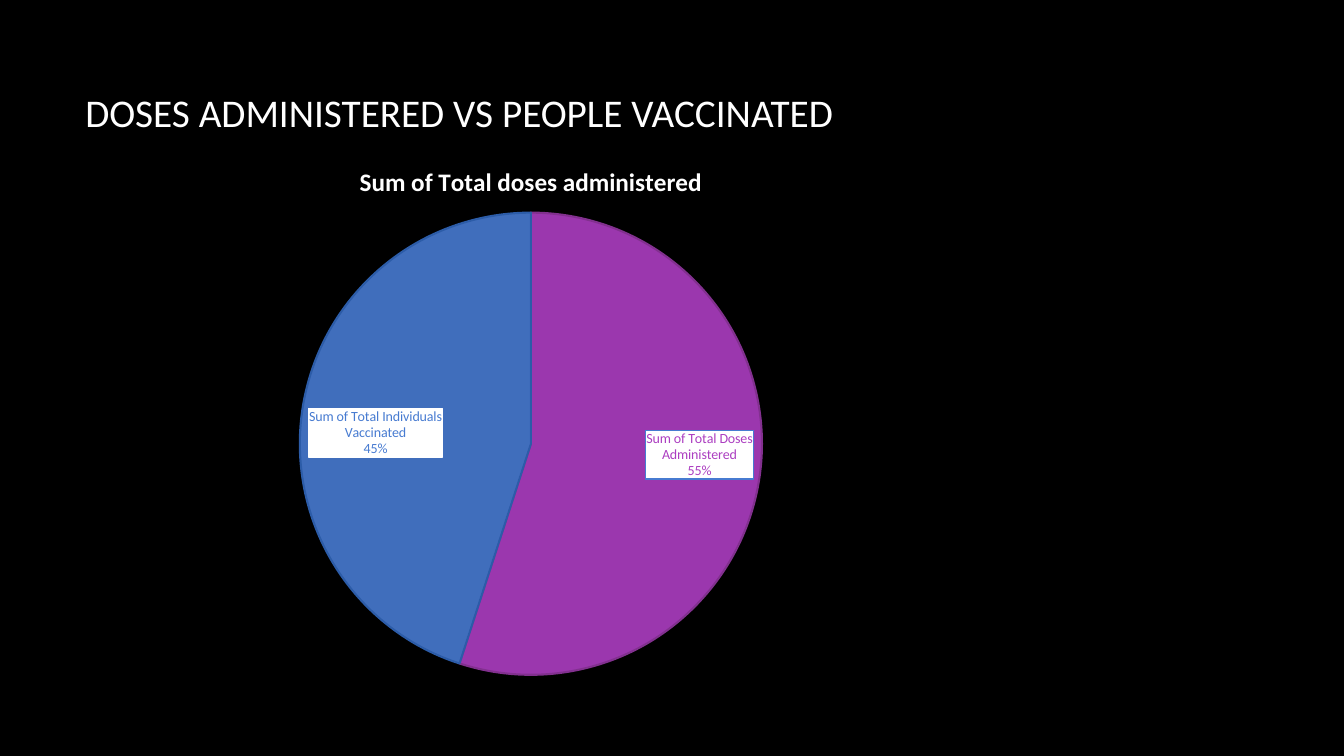
from lxml.etree import SubElement
from pptx import Presentation
from pptx.chart.data import CategoryChartData
from pptx.dml.color import RGBColor
from pptx.enum.chart import XL_CHART_TYPE as ChartType, XL_LABEL_POSITION as LabelPosition
from pptx.enum.text import MSO_ANCHOR as Anchor
from pptx.oxml import parse_xml
from pptx.oxml.ns import nsdecls, qn
from pptx.util import Cm, Pt

FONT = "Calibri"
SLICES = [
    {"name": "Sum of Total Doses Administered", "value": 55,
     "fill": "AC3EC1", "edge": "82308F", "label_edge": "477BD1"},
    {"name": "Sum of Total Individuals Vaccinated", "value": 45,
     "fill": "477BD1", "edge": "2C5CA8", "label_edge": "FFFFFF"},
]
PLOT_AREA = {"x": 0.24, "y": 0.126, "w": 0.52, "h": 0.848}


def color(value):
    """Turn a hex string into a colour."""
    return RGBColor.from_string(value)


def format_font(font, fill, **values):
    """Set the typeface, the colour and any further font values."""
    for name, value in {"name": FONT, **values}.items():
        setattr(font, name, value)
    font.color.rgb = color(fill)


def add_heading(slide, box, text):
    """Place the slide heading in its box."""
    frame = slide.shapes.add_textbox(*box).text_frame
    for name, value in {"word_wrap": True, "vertical_anchor": Anchor.MIDDLE}.items():
        setattr(frame, name, value)
    run = frame.paragraphs[0].add_run()
    run.text = text
    format_font(run.font, "FFFFFF", size=Pt(28))


def format_slice(point, values):
    """Colour one slice and give it a boxed label."""
    point.format.fill.solid()
    point.format.fill.fore_color.rgb = color(values["fill"])
    slice_color = point.format.fill._xPr.find(".//" + qn("a:srgbClr"))
    SubElement(slice_color, qn("a:alpha"), val="90000")
    point.format.line.color.rgb = color(values["edge"])
    point.format.line.width = Pt(1.5)

    label = point.data_label
    format_font(label.font, values["fill"], size=Pt(10), bold=False)
    label.position = LabelPosition.INSIDE_END
    label_box = parse_xml(
        f'<c:spPr {nsdecls("c", "a")}>'
        '<a:solidFill><a:srgbClr val="FFFFFF"/></a:solidFill>'
        f'<a:ln w="12700"><a:solidFill><a:srgbClr val="{values["label_edge"]}"/>'
        '</a:solidFill></a:ln></c:spPr>')
    label.font._element.getparent().getparent().getparent().addprevious(label_box)


def place_plot(chart):
    """Fix the inner plot area as fractions of the chart."""
    plot_area = chart._chartSpace.chart.plotArea
    for layout in plot_area.findall(qn("c:layout")):
        plot_area.remove(layout)
    sizes = "".join(f'<c:{key} val="{value}"/>' for key, value in PLOT_AREA.items())
    plot_area.insert(0, parse_xml(
        f'<c:layout {nsdecls("c")}><c:manualLayout><c:layoutTarget val="inner"/>'
        f'<c:xMode val="edge"/><c:yMode val="edge"/>{sizes}'
        '</c:manualLayout></c:layout>'))


def add_pie(slide, box, title):
    """Place the pie chart in its box."""
    data = CategoryChartData()
    data.categories = [values["name"] for values in SLICES]
    data.add_series("Series 1", [values["value"] for values in SLICES])
    chart = slide.shapes.add_chart(ChartType.PIE, *box, data).chart
    format_font(chart.font, "FFFFFF", size=Pt(10))
    chart.has_legend = False
    chart.has_title = True
    run = chart.chart_title.text_frame.paragraphs[0].add_run()
    run.text = title
    format_font(run.font, "FFFFFF", size=Pt(18), bold=True)
    chart.plots[0].vary_by_categories = True
    place_plot(chart)

    series = chart.plots[0].series[0]
    for index, values in enumerate(SLICES):
        format_slice(series.points[index], values)
    shown = {"showVal": "0", "showCatName": "1", "showPercent": "1"}
    for tag, value in shown.items():
        for flag in series._element.iter(qn("c:" + tag)):
            flag.set("val", value)


def main():
    """Build and save the slide."""
    presentation = Presentation()
    presentation.slide_width = Cm(33.87)
    presentation.slide_height = Cm(19.05)
    slide = presentation.slides.add_slide(presentation.slide_layouts[6])
    slide.background.fill.solid()
    slide.background.fill.fore_color.rgb = color("000000")
    add_heading(slide, (Cm(1.9), Cm(1.7), Cm(28.14), Cm(2.26)),
                "DOSES ADMINISTERED VS PEOPLE VACCINATED")
    add_pie(slide, (Cm(2.18), Cm(3.61), Cm(22.4), Cm(13.77)),
            "Sum of Total doses administered")
    presentation.save("out.pptx")


if __name__ == "__main__":
    main()
